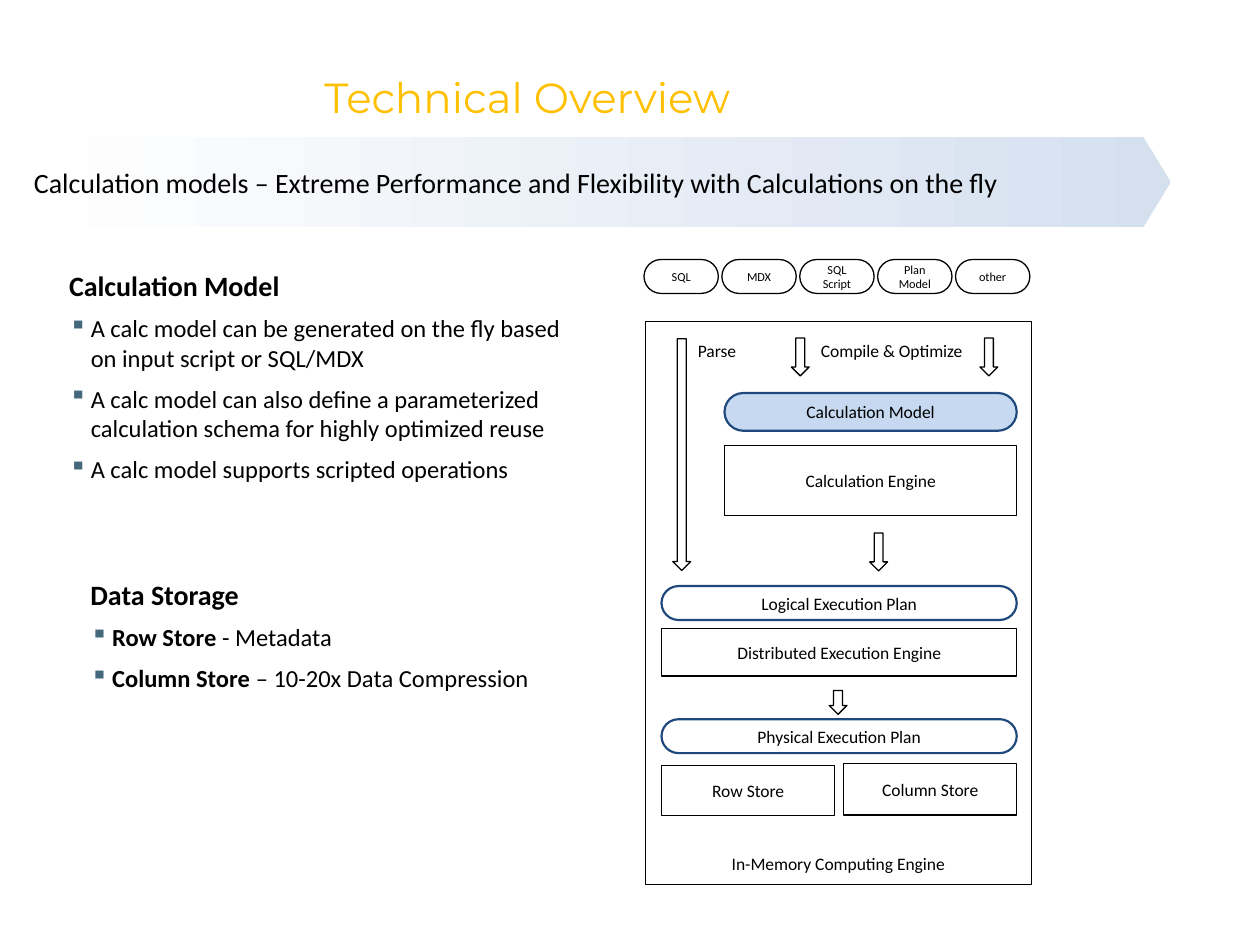
"""Build the Technical Overview slide about calculation models."""
from typing import NamedTuple

from lxml.etree import SubElement
from pptx import Presentation
from pptx.dml.color import RGBColor
from pptx.enum.shapes import MSO_SHAPE
from pptx.enum.text import MSO_ANCHOR, PP_ALIGN
from pptx.oxml.ns import qn
from pptx.util import Pt

COLORS = {
    "text": "000000",
    "title": "FFC000",
    "white": "FFFFFF",
    "banner": "D5E0EF",
    "model": "C6D9F1",
    "plan": "1F497D",
    "bullet": "44697D",
}
ROUND = MSO_SHAPE.ROUNDED_RECTANGLE
RECTANGLE = MSO_SHAPE.RECTANGLE


class Frame(NamedTuple):
    left: float
    top: float
    width: float
    height: float


class Box(NamedTuple):
    text: str
    frame: Frame
    kind: MSO_SHAPE = RECTANGLE
    fill: str | None = "white"
    line: str = "text"
    line_width: float = 0.75
    size: float = 10
    anchor: MSO_ANCHOR = MSO_ANCHOR.MIDDLE


class Label(NamedTuple):
    text: str
    frame: Frame
    size: float = 10
    color: str = "text"
    font: str = "Calibri"
    align: PP_ALIGN = PP_ALIGN.LEFT
    anchor: MSO_ANCHOR = MSO_ANCHOR.TOP


class Run(NamedTuple):
    text: str
    bold: bool = False


class Section(NamedTuple):
    heading: str
    frame: Frame
    bullets: list[list[Run]]


def plan(text: str, top: float) -> Box:
    """Describe a full-width execution plan pill."""
    return Box(text, Frame(378, top, 203, 19.4), ROUND, line="plan", line_width=1.25)


CHIPS = [
    Box(text, Frame(368 + 44.5 * index, 148.3, 42.5, 19.4), ROUND, size=7)
    for index, text in enumerate(["SQL", "MDX", "SQL Script", "Plan Model", "other"])
]
BOXES = [
    Box("Calculation Engine", Frame(414, 254.6, 167, 40)),
    Box("Calculation Model", Frame(414, 224.6, 167, 21.6), ROUND, "model", "plan", 1.25),
    Box("Distributed Execution Engine", Frame(378, 359.2, 203, 27.2)),
    Box("Row Store", Frame(378, 437.6, 99, 28.6)),
    Box("Column Store", Frame(482, 436.4, 99, 29.4)),
    plan("Physical Execution Plan", 411),
    plan("Logical Execution Plan", 334.9),
]
ENGINE = Box("In-Memory Computing Engine", Frame(368.7, 183.6, 220.6, 321.8),
             fill=None, anchor=MSO_ANCHOR.BOTTOM)
ARROWS = [
    Box("", Frame(left, top, 10.2, height), MSO_SHAPE.DOWN_ARROW)
    for left, top, height in [
        (452.2, 193.2, 21.6), (560, 193.2, 21.6), (497, 304.6, 21.6),
        (473.8, 394.6, 13.6), (384.5, 193.6, 132.4),
    ]
]
LABELS = [
    Label("Technical Overview", Frame(19.4, 27.4, 563.8, 56.2), 24, "title", "Montserrat",
          PP_ALIGN.CENTER, MSO_ANCHOR.MIDDLE),
    Label("Compile & Optimize", Frame(462, 191, 104, 19.4)),
    Label("Parse", Frame(391.7, 191, 41, 19.4)),
]
BANNER = Label("Calculation models – Extreme Performance and Flexibility with "
               "Calculations on the fly", Frame(19.4, 78.5, 649.4, 51.1), 16)
SECTIONS = [
    Section("Calculation Model", Frame(32.4, 149.8, 301.7, 154), [
        [Run("A calc model can be generated on the fly based on input script or SQL/MDX")],
        [Run("A calc model can also define a parameterized calculation schema "
             "for highly optimized reuse")],
        [Run("A calc model supports scripted operations")],
    ]),
    Section("Data Storage", Frame(44.6, 326.2, 301.7, 77.8), [
        [Run("Row Store ", True), Run("- Metadata")],
        [Run("Column Store ", True), Run("– 10-20x Data Compression")],
    ]),
]


def color(name: str) -> RGBColor:
    """Return the named colour."""
    return RGBColor.from_string(COLORS[name])


def style(paragraph, size: float, name: str = "text", font: str = "Calibri") -> None:
    """Set the font of a paragraph."""
    paragraph.font.size = Pt(size)
    paragraph.font.name = font
    paragraph.font.color.rgb = color(name)


def add_shape(slide, kind: MSO_SHAPE, frame: Frame):
    """Add a preset shape without a shadow."""
    shape = slide.shapes.add_shape(kind, *map(Pt, frame))
    shape.shadow.inherit = False
    return shape


def add_box(slide, box: Box) -> None:
    """Draw an outlined shape with centred text."""
    shape = add_shape(slide, box.kind, box.frame)
    if box.kind == ROUND:
        shape.adjustments[0] = 0.5
    if box.fill:
        shape.fill.solid()
        shape.fill.fore_color.rgb = color(box.fill)
    else:
        shape.fill.background()
    shape.line.color.rgb = color(box.line)
    shape.line.width = Pt(box.line_width)
    if box.text:
        text_frame = shape.text_frame
        text_frame.margin_left = text_frame.margin_right = Pt(7.2)
        text_frame.margin_top = text_frame.margin_bottom = Pt(5.8)
        fill_text(text_frame, box.text, box.size, PP_ALIGN.CENTER, box.anchor)


def fill_text(text_frame, text: str, size: float, align: PP_ALIGN, anchor: MSO_ANCHOR,
              name: str = "text", font: str = "Calibri") -> None:
    """Write one styled paragraph into a text frame."""
    text_frame.word_wrap = True
    text_frame.vertical_anchor = anchor
    paragraph = text_frame.paragraphs[0]
    paragraph.text = text
    paragraph.alignment = align
    style(paragraph, size, name, font)


def add_label(slide, label: Label) -> None:
    """Draw a plain text label."""
    text_frame = slide.shapes.add_textbox(*map(Pt, label.frame)).text_frame
    fill_text(text_frame, label.text, label.size, label.align, label.anchor,
              label.color, label.font)


def add_banner(slide, banner: Label) -> None:
    """Draw the gradient pentagon with the subtitle."""
    shape = add_shape(slide, MSO_SHAPE.PENTAGON, banner.frame)
    shape.adjustments[0] = 0.305
    shape.line.fill.background()
    shape.fill.gradient()
    shape.fill.gradient_angle = 0
    for position, (stop, name) in enumerate(zip(shape.fill.gradient_stops, ["white", "banner"])):
        stop.position = position
        stop.color.rgb = color(name)
    text_frame = shape.text_frame
    text_frame.margin_left = text_frame.margin_right = Pt(0)
    text_frame.margin_top = text_frame.margin_bottom = Pt(0)
    fill_text(text_frame, banner.text, banner.size, PP_ALIGN.LEFT, MSO_ANCHOR.MIDDLE)


def add_bullet(paragraph) -> None:
    """Give a paragraph a hanging square bullet."""
    properties = paragraph._p.get_or_add_pPr()
    properties.set("marL", str(Pt(12.4)))
    properties.set("indent", str(-Pt(12.4)))
    bullet_color = SubElement(properties, qn("a:buClr"))
    SubElement(bullet_color, qn("a:srgbClr"), val=COLORS["bullet"])
    SubElement(properties, qn("a:buChar"), char="▪")


def add_section(slide, section: Section) -> None:
    """Draw a bold heading above its bullets."""
    text_frame = slide.shapes.add_textbox(*map(Pt, section.frame)).text_frame
    fill_text(text_frame, section.heading, 16, PP_ALIGN.LEFT, MSO_ANCHOR.TOP)
    text_frame.paragraphs[0].font.bold = True
    for runs in section.bullets:
        paragraph = text_frame.add_paragraph()
        paragraph.space_before = Pt(6.5)
        add_bullet(paragraph)
        style(paragraph, 14)
        for text, bold in runs:
            run = paragraph.add_run()
            run.text = text
            run.font.bold = bold


def main() -> None:
    """Build and save the presentation."""
    presentation = Presentation()
    presentation.slide_width, presentation.slide_height = Pt(720), Pt(540)
    slide = presentation.slides.add_slide(presentation.slide_layouts[6])
    add_banner(slide, BANNER)
    for box in [*CHIPS, *BOXES, *ARROWS, ENGINE]:
        add_box(slide, box)
    for label in LABELS:
        add_label(slide, label)
    for section in SECTIONS:
        add_section(slide, section)
    presentation.save("out.pptx")


if __name__ == "__main__":
    main()
